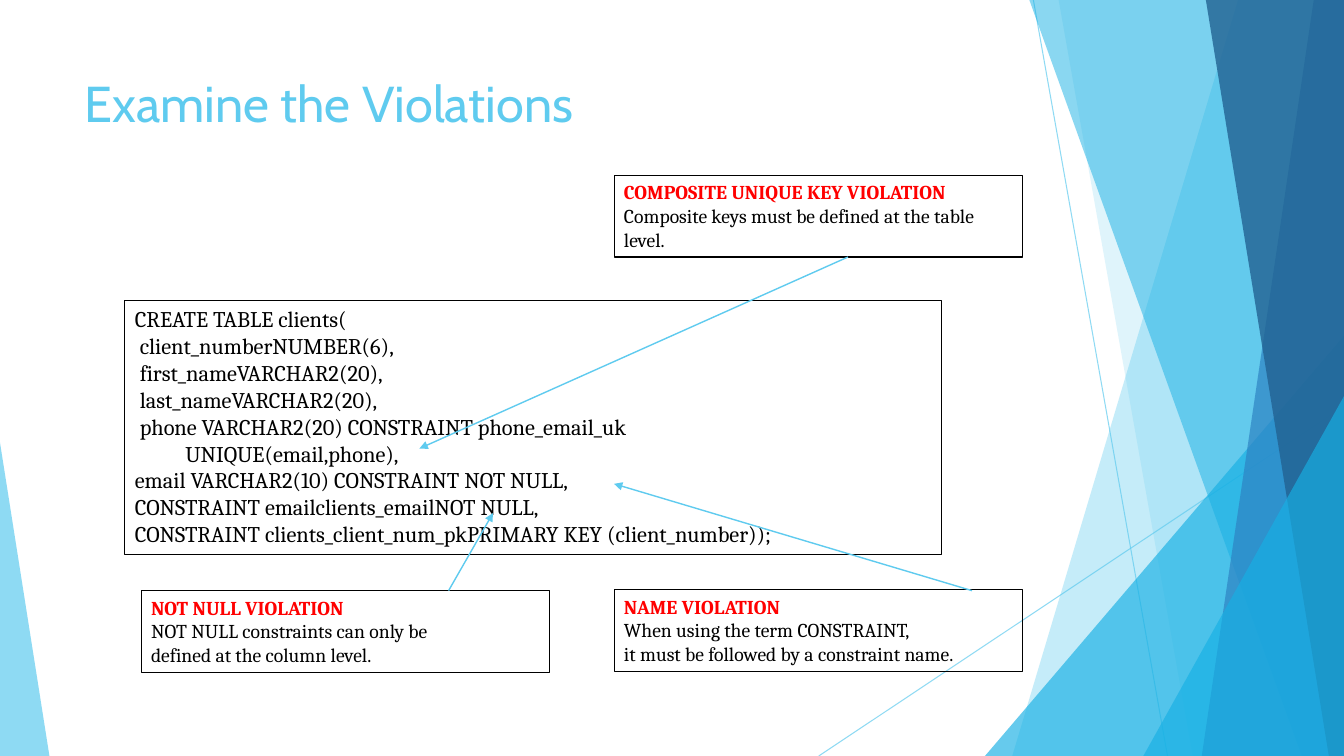
from lxml import etree
from pptx import Presentation
from pptx import util as u
from pptx.dml.color import RGBColor
from pptx.enum import shapes, text
from pptx.oxml.ns import qn

WIDTH, HEIGHT = u.Inches(13.33), u.Inches(7.5)
COLORS = {
    "sky": "5FCBEF", "cyan": "17B0E4", "blue": "2E83C3", "navy": "226292",
    "black": "000000", "red": "FF0000",
}
CODE = [
    "CREATE TABLE clients(",
    " client_numberNUMBER(6),",
    " first_nameVARCHAR2(20),",
    " last_nameVARCHAR2(20),",
    " phone VARCHAR2(20) CONSTRAINT phone_email_uk",
    "UNIQUE(email,phone),",
    "email VARCHAR2(10) CONSTRAINT NOT NULL,",
    "CONSTRAINT emailclients_emailNOT NULL,",
    "CONSTRAINT clients_client_num_pkPRIMARY KEY (client_number));",
]
CALLOUTS = [
    (45.69, 23.2, "COMPOSITE UNIQUE KEY VIOLATION",
     ["Composite keys must be defined at the table level."]),
    (45.69, 78, "NAME VIOLATION",
     ["When using the term CONSTRAINT,", "it must be followed by a constraint name."]),
    (10.5, 78.13, "NOT NULL VIOLATION",
     ["NOT NULL constraints can only be", "defined at the column level."]),
]
ARROWS = [
    (63.09, 34, 31.21, 59.33),
    (33.38, 78.13, 36.68, 67.87),
    (72.32, 78.13, 45.69, 64),
]


def across(percent):
    return round(WIDTH * percent / 100)


def down(percent):
    return round(HEIGHT * percent / 100)


def place(left, top, width, height):
    """Turn percentages of the slide into a position and a size."""
    return across(left), down(top), across(width), down(height)


def rgb(color):
    return RGBColor.from_string(COLORS[color])


def set_alpha(fill_or_line, opacity):
    color = next(fill_or_line.iter(qn("a:srgbClr")))
    etree.SubElement(color, qn("a:alpha"), val=str(opacity * 1000))


def paint(shape, color, opacity):
    shape.shadow.inherit = False
    shape.fill.solid()
    shape.fill.fore_color.rgb = rgb(color)
    shape.line.fill.background()
    set_alpha(shape.element.spPr, opacity)


def add_slab(slide, top, bottom, color, opacity):
    """Fill from a slanted left side to the right edge of the slide."""
    builder = slide.shapes.build_freeform(across(top), 0)
    builder.add_line_segments([(WIDTH, 0), (WIDTH, HEIGHT), (across(bottom), HEIGHT)])
    paint(builder.convert_to_shape(), color, opacity)


def add_triangle(slide, left, top, width, apex, color, opacity):
    """Stand a triangle on the bottom edge of the slide."""
    triangle = slide.shapes.add_shape(
        shapes.MSO_SHAPE.ISOSCELES_TRIANGLE, *place(left, top, width, 100 - top))
    triangle.adjustments[0] = apex
    paint(triangle, color, opacity)


def add_line(slide, x1, y1, x2, y2, width=1, opacity=100, arrow=False):
    line = slide.shapes.add_connector(
        shapes.MSO_CONNECTOR.STRAIGHT, across(x1), down(y1), across(x2), down(y2))
    line.line.color.rgb = rgb("sky")
    line.line.width = u.Pt(width)
    properties = line.element.spPr
    if opacity < 100:
        set_alpha(properties, opacity)
    if arrow:
        etree.SubElement(properties.find(qn("a:ln")), qn("a:tailEnd"), type="triangle")
    etree.SubElement(properties, qn("a:effectLst"))


def write(paragraph, words, size, color="black", font="Cambria", bold=False, indent=0):
    paragraph.alignment = text.PP_ALIGN.LEFT
    if indent:
        paragraph._p.get_or_add_pPr().set("marL", str(u.Inches(indent)))
    run = paragraph.add_run()
    run.text = words
    run.font.size = u.Pt(size)
    run.font.name = font
    run.font.bold = bold
    run.font.color.rgb = rgb(color)


def add_box(slide, left, top, width, height):
    """Add an outlined box and return its text frame."""
    box = slide.shapes.add_shape(
        shapes.MSO_SHAPE.RECTANGLE, *place(left, top, width, height))
    box.shadow.inherit = False
    box.fill.background()
    box.line.color.rgb = rgb("black")
    box.line.width = u.Pt(0.75)
    frame = box.text_frame
    frame.word_wrap = True
    frame.auto_size = text.MSO_AUTO_SIZE.SHAPE_TO_FIT_TEXT
    frame.vertical_anchor = text.MSO_ANCHOR.TOP
    return frame


def add_backdrop(slide):
    add_line(slide, 76.89, 0, 86.87, 100, width=0.75, opacity=70)
    add_line(slide, 100, 53.73, 60.92, 100, width=0.75, opacity=70)
    add_slab(slide, 92.12, 75.32, "sky", 36)
    add_slab(slide, 78.77, 88.75, "sky", 20)
    add_triangle(slide, 73.29, 44.4, 26.71, 1, "cyan", 66)
    add_slab(slide, 76.59, 96.85, "cyan", 50)
    add_slab(slide, 97.75, 89.42, "blue", 70)
    add_slab(slide, 89.72, 98.87, "navy", 80)
    add_triangle(slide, 85.07, 52.4, 14.93, 1, "cyan", 66)
    add_triangle(slide, 0, 58.53, 3.68, 0, "sky", 70)


def set_title(slide, words):
    title = slide.shapes.title
    title.left, title.top, title.width, title.height = place(5.55, 8.93, 70.52, 19.2)
    frame = title.text_frame
    frame.word_wrap = True
    frame.auto_size = text.MSO_AUTO_SIZE.NONE
    frame.vertical_anchor = text.MSO_ANCHOR.TOP
    write(frame.paragraphs[0], words, 36, color="sky", font="Cabin")


def add_code(slide):
    frame = add_box(slide, 9.3, 39.73, 60.77, 33.6)
    for number, line in enumerate(CODE):
        paragraph = frame.add_paragraph() if number else frame.paragraphs[0]
        write(paragraph, line, 16, indent=0.5 if line.startswith("UNIQUE") else 0)


def add_callout(slide, left, top, heading, lines):
    frame = add_box(slide, left, top, 30.38, 10.8)
    write(frame.paragraphs[0], heading, 14, color="red", bold=True)
    for line in lines:
        write(frame.add_paragraph(), line, 14)


def main():
    presentation = Presentation()
    presentation.slide_width, presentation.slide_height = WIDTH, HEIGHT
    slide = presentation.slides.add_slide(presentation.slide_layouts[5])
    add_backdrop(slide)
    set_title(slide, "Examine the Violations")
    add_code(slide)
    for callout in CALLOUTS:
        add_callout(slide, *callout)
    for arrow in ARROWS:
        add_line(slide, *arrow, arrow=True)
    presentation.save("out.pptx")


if __name__ == "__main__":
    main()
